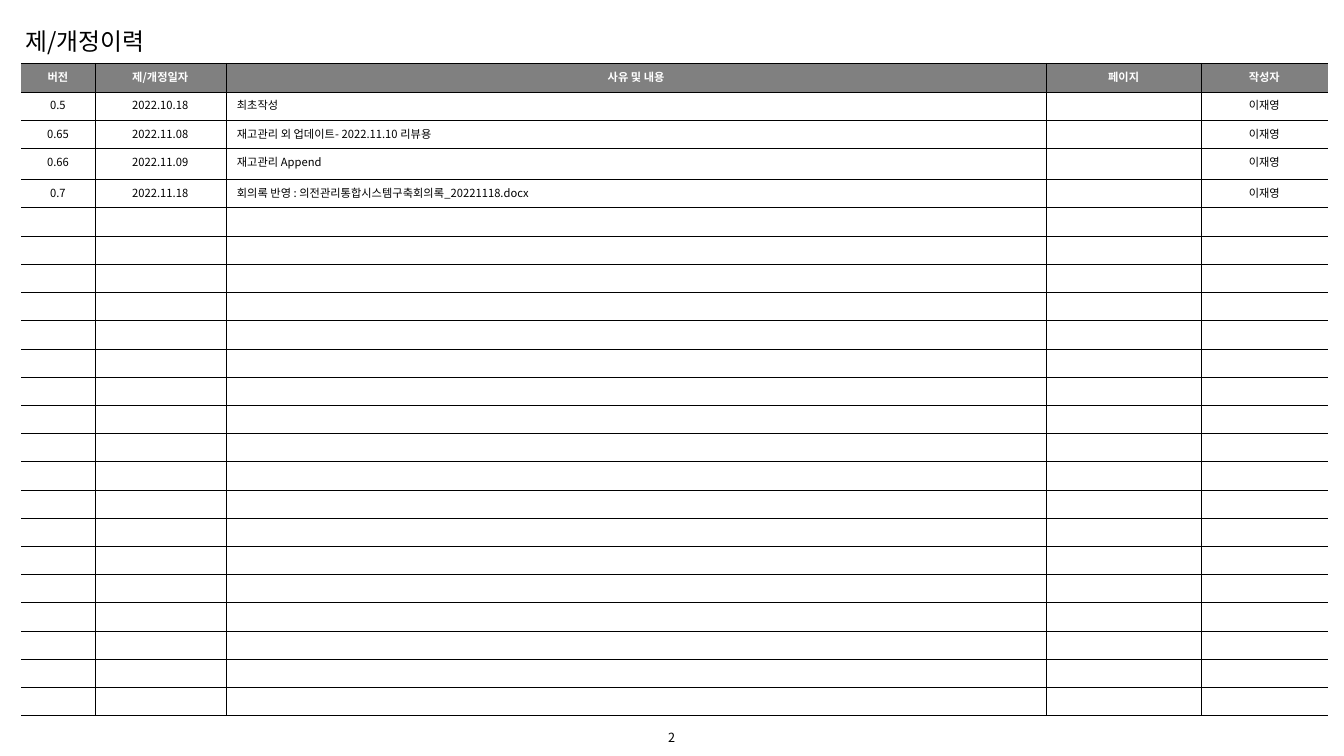
from dataclasses import dataclass
from itertools import zip_longest

from lxml.etree import SubElement
from pptx import Presentation
from pptx.dml.color import RGBColor
from pptx.enum.text import MSO_ANCHOR, MSO_AUTO_SIZE, PP_ALIGN
from pptx.oxml.ns import qn
from pptx.util import Inches, Pt

GRID = Inches(0.01)  # the slide is a grid of 1333 columns by 750 rows


@dataclass(frozen=True)
class Theme:
    font: str = "Noto Sans CJK KR"
    ink: str = "000000"
    header_ink: str = "FFFFFF"
    header_fill: str = "808080"
    title_size: float = 17
    page_number_size: float = 9
    table_size: float = 8
    rule: float = 0.25
    top_rule: float = 1


@dataclass(frozen=True)
class Area:
    column: int
    row: int
    columns: int
    rows: int

    def lengths(self) -> tuple:
        return tuple(GRID * n for n in (self.column, self.row, self.columns, self.rows))


@dataclass(frozen=True)
class Column:
    heading: str
    width: int
    align: PP_ALIGN = PP_ALIGN.CENTER


@dataclass(frozen=True)
class Revision:
    version: str
    date: str
    reason: str
    pages: str
    author: str

    def values(self) -> tuple:
        return self.version, self.date, self.reason, self.pages, self.author


THEME = Theme()
SLIDE = Area(0, 0, 1333, 750)
TITLE = Area(21, 11, 226, 46)
TABLE = Area(21, 63, 1296, 647)
PAGE_NUMBER = Area(537, 719, 258, 25)
ROW_COUNT, ROW_HEIGHT = 23, 28
TALL_ROW, TALL_HEIGHT = 3, 31

COLUMNS = (
    Column("버전", 73),
    Column("제/개정일자", 130),
    Column("사유 및 내용", 814, PP_ALIGN.LEFT),
    Column("페이지", 153),
    Column("작성자", 126),
)
REVISIONS = (
    Revision("0.5", "2022.10.18", "최초작성", "", "이재영"),
    Revision("0.65", "2022.11.08", "재고관리 외 업데이트- 2022.11.10 리뷰용", "", "이재영"),
    Revision("0.66", "2022.11.09", "재고관리 Append", "", "이재영"),
    Revision("0.7", "2022.11.18", "회의록 반영 : 의전관리통합시스템구축회의록_20221118.docx", "", "이재영"),
)


def write(frame, text: str, size: float, align: PP_ALIGN,
          color: str = THEME.ink, bold: bool = False) -> None:
    para = frame.paragraphs[0]
    para.alignment = align
    font = para.font
    font.size, font.bold, font.name = Pt(size), bold, THEME.font
    font.color.rgb = RGBColor.from_string(color)
    defaults = para._p.pPr.find(qn("a:defRPr"))
    SubElement(defaults, qn("a:ea"), typeface=THEME.font)
    if text:
        para.add_run().text = text
    else:
        para._p.get_or_add_endParaRPr().set("sz", str(int(size * 100)))


def set_margins(box, horizontal: int, vertical: int) -> None:
    box.margin_left = box.margin_right = GRID * horizontal
    box.margin_top = box.margin_bottom = GRID * vertical


def set_borders(cell, row: int, column: int) -> None:
    """Rule every side of the cell except the table's open left and right edges."""
    widths = {
        "a:lnL": THEME.rule if column > 0 else 0,
        "a:lnR": THEME.rule if column < len(COLUMNS) - 1 else 0,
        "a:lnT": THEME.rule if row > 0 else THEME.top_rule,
        "a:lnB": THEME.rule,
    }
    properties = cell._tc.get_or_add_tcPr()
    for tag, width in widths.items():
        line = SubElement(properties, qn(tag), w=str(int(Pt(width))))
        if width:
            fill = SubElement(line, qn("a:solidFill"))
            SubElement(fill, qn("a:srgbClr"), val=THEME.ink)
        else:
            SubElement(line, qn("a:noFill"))


def draw_title(page) -> None:
    title = page.shapes.title
    title.left, title.top, title.width, title.height = TITLE.lengths()
    frame = title.text_frame
    frame.word_wrap = True
    frame.auto_size = MSO_AUTO_SIZE.SHAPE_TO_FIT_TEXT
    frame.vertical_anchor = MSO_ANCHOR.MIDDLE
    set_margins(frame, 4, 4)
    frame.paragraphs[0].line_spacing = 1.5
    write(frame, "제/개정이력", THEME.title_size, PP_ALIGN.LEFT)


def draw_history(page) -> None:
    table = page.shapes.add_table(ROW_COUNT, len(COLUMNS), *TABLE.lengths()).table
    table.first_row = table.horz_banding = False
    for table_column, column in zip(table.columns, COLUMNS):
        table_column.width = GRID * column.width
    for index, table_row in enumerate(table.rows):
        table_row.height = GRID * (TALL_HEIGHT if index == TALL_ROW else ROW_HEIGHT)

    headings = tuple(column.heading for column in COLUMNS)
    contents = (headings, *(revision.values() for revision in REVISIONS))
    blank = ("",) * len(COLUMNS)
    for row, values in zip_longest(range(ROW_COUNT), contents, fillvalue=blank):
        header = row == 0
        for number, (column, value) in enumerate(zip(COLUMNS, values)):
            cell = table.cell(row, number)
            set_margins(cell, 11, 5)
            set_borders(cell, row, number)
            if header:
                cell.fill.solid()
                cell.fill.fore_color.rgb = RGBColor.from_string(THEME.header_fill)
            else:
                cell.fill.background()
            write(cell.text_frame, value, THEME.table_size,
                  PP_ALIGN.CENTER if header else column.align,
                  THEME.header_ink if header else THEME.ink, header)


def draw_page_number(page) -> None:
    frame = page.shapes.add_textbox(*PAGE_NUMBER.lengths()).text_frame
    frame.word_wrap = True
    frame.vertical_anchor = MSO_ANCHOR.MIDDLE
    set_margins(frame, 0, 0)
    write(frame, "2", THEME.page_number_size, PP_ALIGN.CENTER)


def main() -> None:
    deck = Presentation()
    deck.slide_width, deck.slide_height = SLIDE.lengths()[2:]
    page = deck.slides.add_slide(deck.slide_layouts.get_by_name("Title Only"))
    draw_page_number(page)
    draw_history(page)
    draw_title(page)
    deck.save("out.pptx")


if __name__ == "__main__":
    main()
